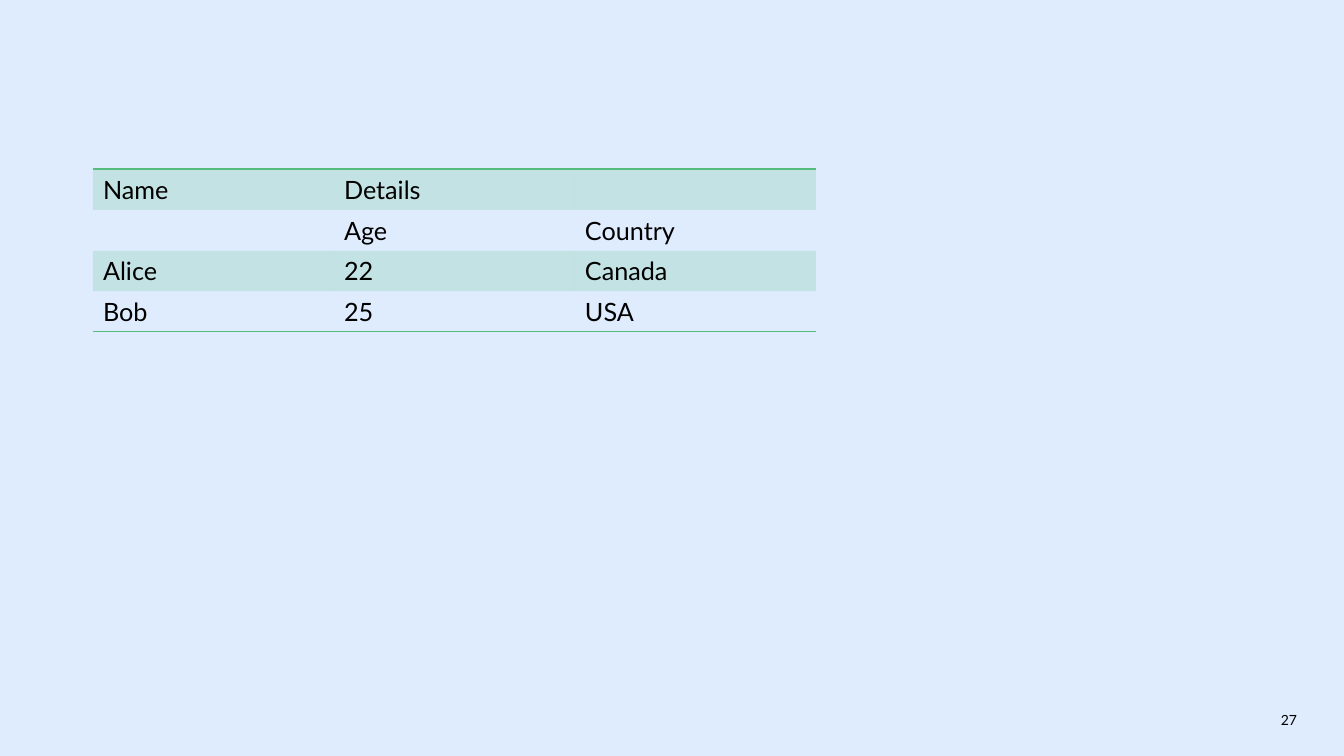
import pptx
import pptx.util
import pptx.dml.color
import pptx.enum.text
import pptx.oxml.ns
import lxml.etree

SCALE = 914400 / 100.8
SKY = pptx.dml.color.RGBColor(0xDF, 0xEC, 0xFD)
GREEN = pptx.dml.color.RGBColor(0x55, 0xBC, 0x7E)
BLACK = pptx.dml.color.RGBColor(0, 0, 0)
FONT = "Lato"
PLAIN = "{2D5ABB26-0587-4C30-8999-92F81FD0307C}"
ROWS = [
    ["Name", "Details", ""],
    ["", "Age", "Country"],
    ["Alice", "22", "Canada"],
    ["Bob", "25", "USA"],
]


def px(size):
    return pptx.util.Emu(round(size * SCALE))


def child(node, tag, **attrs):
    return lxml.etree.SubElement(node, pptx.oxml.ns.qn(tag), **attrs)


def style(frame, size):
    for para in frame.paragraphs:
        for run in para.runs:
            run.font.name = FONT
            run.font.size = pptx.util.Pt(size)
            run.font.color.rgb = BLACK


def border(cell, side):
    line = child(cell._tc.get_or_add_tcPr(), side, w="12700")
    child(child(line, "a:solidFill"), "a:srgbClr", val=str(GREEN))


def tint(cell):
    cell.fill.solid()
    cell.fill.fore_color.rgb = GREEN
    color = cell._tc.tcPr.find(".//" + pptx.oxml.ns.qn("a:solidFill") + "[last()]/" + pptx.oxml.ns.qn("a:srgbClr"))
    for color in cell._tc.tcPr.findall("a:solidFill/a:srgbClr", pptx.oxml.ns._nsmap):
        child(color, "a:alpha", val="20000")


def add_grid(slide, left, top, width, height):
    rows, cols = len(ROWS), len(ROWS[0])
    frame = slide.shapes.add_table(
        rows, cols, px(left), px(top), px(width * cols), px(height * rows))
    table = frame.table
    table.first_row = False
    table.horz_banding = False
    table._tbl.tblPr.find(pptx.oxml.ns.qn("a:tableStyleId")).text = PLAIN
    for r, row in enumerate(ROWS):
        for c, text in enumerate(row):
            cell = table.cell(r, c)
            cell.text_frame.text = text
            cell.vertical_anchor = pptx.enum.text.MSO_ANCHOR.MIDDLE
            style(cell.text_frame, 18)
            if r == 0:
                border(cell, "a:lnT")
            if r == rows - 1:
                border(cell, "a:lnB")
            if r % 2 == 0:
                tint(cell)
            else:
                cell.fill.background()


def add_number(slide, text, left, top, width, height):
    box = slide.shapes.add_textbox(px(left), px(top), px(width), px(height))
    frame = box.text_frame
    frame.text = text
    frame.word_wrap = True
    frame.vertical_anchor = pptx.enum.text.MSO_ANCHOR.MIDDLE
    frame.margin_left = frame.margin_right = 0
    frame.margin_top = frame.margin_bottom = 0
    frame.paragraphs[0].alignment = pptx.enum.text.PP_ALIGN.RIGHT
    style(frame, 10)


def main():
    deck = pptx.Presentation()
    deck.slide_width, deck.slide_height = px(1344), px(756)
    slide = deck.slides.add_slide(deck.slide_layouts[6])
    slide.background.fill.solid()
    slide.background.fill.fore_color.rgb = SKY
    add_grid(slide, 93, 169, 241, 40)
    add_number(slide, "27", 1204, 704, 93, 31)
    deck.save("out.pptx")


if __name__ == "__main__":
    main()
